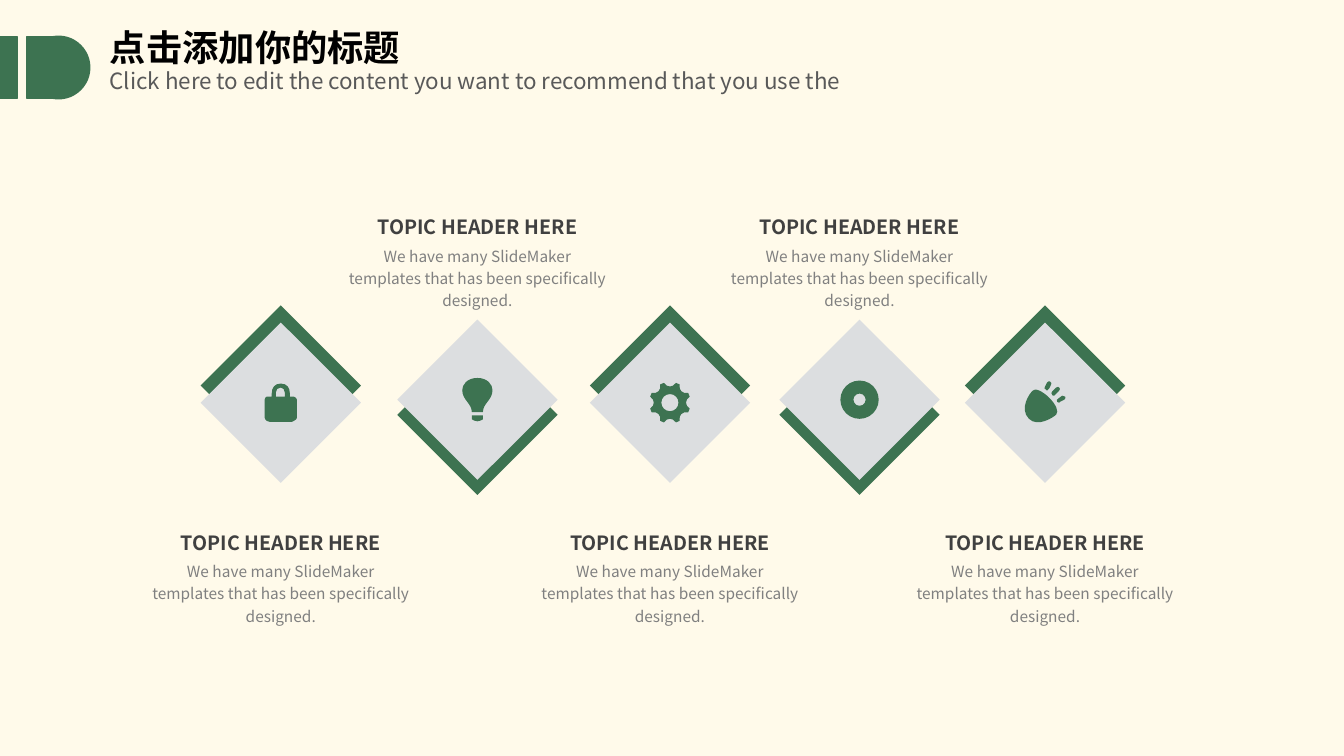
import math
from lxml import etree
from pptx import Presentation, util as u
from pptx.dml.color import RGBColor
from pptx.enum import shapes, text
from pptx.oxml.ns import qn

HEADING = "点击添加你的标题"
SUBHEADING = "Click here to edit the content you want to recommend that you use the"
TOPIC = "TOPIC HEADER HERE"
DETAIL = "We have many SlideMaker templates that has been specifically designed."

LOCK = ["M -5 -10 C -5 -13 -3 -15 0 -15 C 2 -15 4 -13 4 -10 L 4 -6 L -5 -6 Z "
        "M 13 -6 L 9 -6 L 9 -9 C 9 -15 6 -19 0 -19 C -6 -19 -9 -15 -9 -9 L -9 -6 "
        "L -14 -6 C -15 -6 -16 -4 -16 -3 L -16 15 C -16 16 -15 17 -14 18 "
        "L -11 19 L 11 19 L 13 18 C 15 17 16 16 16 15 L 16 -3 C 16 -4 14 -6 13 -6 Z"]
BULB = ["M -5.5 19.5 C -4 20.5 -2 21.5 0 21.5 C 2 21.5 4 20.5 5.5 19.5 L 5.5 15.5 L -5.5 15.5 Z",
        "M 5.5 12.5 C 5.5 3.5 15 0.5 15 -9.5 C 15 -14.5 10.5 -21.5 0 -21.5 "
        "C -10.5 -21.5 -15 -14.5 -15 -9.5 C -15 0.5 -5.5 3.5 -5.5 12.5 Z"]
HORN = ["M -12 -12 C -15 -10 -26 6 -16 16 C -7 25 9 14 11 12 C 14 9 11 2 4 -5 "
        "C -2 -11 -10 -15 -12 -12 Z",
        "M 20 -6 C 19 -7 18 -7 17 -7 L 13 -4 C 12 -4 11 -2 12 -1 C 12 -1 13 0 14 0 "
        "C 14 0 15 0 15 -1 L 19 -3 C 20 -4 21 -5 20 -6 Z "
        "M 1 -13 C 1 -13 1 -12 2 -12 C 2 -12 3 -13 4 -14 L 6 -18 C 7 -19 6 -20 5 -21 "
        "C 4 -22 3 -21 2 -20 L 0 -16 C -1 -15 -1 -13 1 -13 Z "
        "M 9 -7 C 9 -7 10 -7 10 -8 L 14 -12 C 15 -13 15 -14 14 -15 C 14 -16 12 -16 11 -15 "
        "L 7 -11 C 6 -10 6 -9 7 -8 C 7 -7 8 -7 9 -7 Z"]
TOOTH = [(7, 16), (13, 17.5), (17, 20.5), (20, 20.5), (25, 20.5), (28, 20.5),
         (32, 17.5), (38, 16), (45, 16)]
GEAR_HOLE = [(29, 9.71), (61, 9.71), (90, 8.5)]
COLUMNS = [(1.99, "lock"), (3.94, "bulb"), (5.85, "gear"), (7.73, "disc"), (9.57, "horn")]
ROWS = {
    "peak": {"accent": 3.03, "face": 3.2, "words": 5.22},
    "valley": {"accent": 3.32, "face": 3.17, "words": 2.09},
}
DIAMOND, WORDS_WIDTH, WORDS_HEIGHT = 1.59, 2.59, 0.77
DISC_SIZE, DISC_RING = 0.38, 0.34
MARKER_TOP, MARKER_HEIGHT = 0.36, 0.62

THEME = {
    "background": "FFFAEA", "green": "3D7351", "face": "DCDEE0",
    "font": "Noto Sans CJK SC",
    "heading": {"size": 25.9, "bold": True, "color": "000000"},
    "subheading": {"size": 16, "bold": False, "color": "595959"},
    "topic": {"size": 14, "bold": True, "color": "404040"},
    "detail": {"size": 11, "bold": False, "color": "808080"},
}

deck = Presentation()
deck.slide_width, deck.slide_height = u.Inches(13.33), u.Inches(7.5)
slide = deck.slides.add_slide(deck.slide_layouts[5])
slide.background.fill.solid()
slide.background.fill.fore_color.rgb = RGBColor.from_string(THEME["background"])


def paint(part, color, outline=None):
    part.shadow.inherit = False
    part.fill.solid()
    part.fill.fore_color.rgb = RGBColor.from_string(color)
    if outline:
        part.line.color.rgb = RGBColor.from_string(color)
        part.line.width = u.Pt(outline)
    else:
        part.line.fill.background()


def add_part(preset, left, top, width, height, color, outline=None):
    part = slide.shapes.add_shape(preset, *map(u.Inches, (left, top, width, height)))
    paint(part, color, outline)
    return part


def write(paragraph, words, style, **layout):
    for key, value in layout.items():
        setattr(paragraph, key, value)
    run = paragraph.add_run()
    run.text = words
    look = THEME[style]
    run.font.color.rgb = RGBColor.from_string(look["color"])
    for key, value in {"size": u.Pt(look["size"]), "bold": look["bold"],
                       "name": THEME["font"]}.items():
        setattr(run.font, key, value)
    etree.SubElement(run.font._element, qn("a:ea")).set("typeface", THEME["font"])


def frame_of(box, **settings):
    for key, value in {"word_wrap": True, **settings}.items():
        setattr(box.text_frame, key, value)
    return box.text_frame


def contours(outline):
    rings = []
    for piece in outline.replace("Z", "").split("M")[1:]:
        steps = piece.replace("L", "|L").replace("C", "|C").split("|")
        ring = [("M", [tuple(map(float, steps[0].split()))])]
        for step in steps[1:]:
            values = list(map(float, step[1:].split()))
            ring.append((step[0], list(zip(values[::2], values[1::2]))))
        rings.append(ring)
    return rings


def turned(start_radius, pattern, turns):
    knots = [(0, start_radius)] + [(360 / turns * turn + angle, radius)
                                   for turn in range(turns) for angle, radius in pattern]
    points = [(r * math.cos(math.radians(a)), r * math.sin(math.radians(a))) for a, r in knots]
    return [("M", points[:1])] + [("C", points[n:n + 3]) for n in range(1, len(points), 3)]


ICONS = {
    "lock": [contours(outline) for outline in LOCK],
    "bulb": [contours(outline) for outline in BULB],
    "gear": [[turned(16, TOOTH, 8), turned(8.5, GEAR_HOLE, 4)]],
    "horn": [contours(outline) for outline in HORN],
}


def bend(outline, kinds):
    corners = iter(list(outline._element.iter(qn("a:lnTo"))))
    for kind in kinds:
        corner = next(corners)
        if kind == "C":
            corner.tag = qn("a:cubicBezTo")
            for _ in range(2):
                extra = next(corners)
                corner.append(extra[0])
                extra.getparent().remove(extra)


def add_outline(rings, x, y):
    pen = None
    for ring in rings:
        placed = [(u.Inches(x + dx / 100), u.Inches(y + dy / 100))
                  for _, points in ring for dx, dy in points]
        if pen:
            pen.move_to(*placed[0])
        else:
            pen = slide.shapes.build_freeform(*placed[0])
        pen.add_line_segments(placed[1:], close=True)
    outline = pen.convert_to_shape()
    bend(outline, [kind for ring in rings for kind, _ in ring[1:]])
    paint(outline, THEME["green"])


for preset, left, width in [
    (shapes.MSO_SHAPE.RECTANGLE, 0, 0.17),
    (shapes.MSO_SHAPE.RECTANGLE, 0.27, 0.27),
    (shapes.MSO_SHAPE.OVAL, 0.27, MARKER_HEIGHT),
]:
    add_part(preset, left, MARKER_TOP, width, MARKER_HEIGHT, THEME["green"], 1)

heading = slide.shapes.title
subheading = slide.shapes.add_textbox(0, 0, 0, 0)
for box, words, style, top, height in [
    (heading, HEADING, "heading", 0.28, 0.47),
    (subheading, SUBHEADING, "subheading", 0.67, 0.33),
]:
    box.left, box.top, box.width, box.height = map(u.Inches, (0.99, top, 8.62, height))
    frame = frame_of(box, auto_size=text.MSO_AUTO_SIZE.NONE, margin_bottom=u.Inches(0.07),
                     vertical_anchor=text.MSO_ANCHOR.BOTTOM)
    write(frame.paragraphs[0], words, style, alignment=text.PP_ALIGN.LEFT, line_spacing=0.8)

for index, (left, icon) in enumerate(COLUMNS):
    row = ROWS["valley" if index % 2 else "peak"]
    center, middle = left + DIAMOND / 2, row["face"] + DIAMOND / 2
    for layer, color in (("accent", "green"), ("face", "face")):
        add_part(shapes.MSO_SHAPE.FLOWCHART_DECISION, left, row[layer],
                 DIAMOND, DIAMOND, THEME[color])
    if icon == "disc":
        disc = add_part(shapes.MSO_SHAPE.DONUT, center - DISC_SIZE / 2, middle - DISC_SIZE / 2,
                        DISC_SIZE, DISC_SIZE, THEME["green"])
        disc.adjustments[0] = DISC_RING
    else:
        for rings in ICONS[icon]:
            add_outline(rings, center, middle)

    words_box = slide.shapes.add_textbox(*map(u.Inches, (
        center - WORDS_WIDTH / 2, row["words"], WORDS_WIDTH, WORDS_HEIGHT)))
    frame = frame_of(words_box, auto_size=text.MSO_AUTO_SIZE.SHAPE_TO_FIT_TEXT,
                     margin_left=0, margin_right=0, margin_top=0, margin_bottom=0)
    centered = {"alignment": text.PP_ALIGN.CENTER, "line_spacing": 1.2}
    write(frame.paragraphs[0], TOPIC, "topic", **centered)
    write(frame.add_paragraph(), DETAIL, "detail", space_before=u.Pt(3), **centered)

deck.save("out.pptx")
